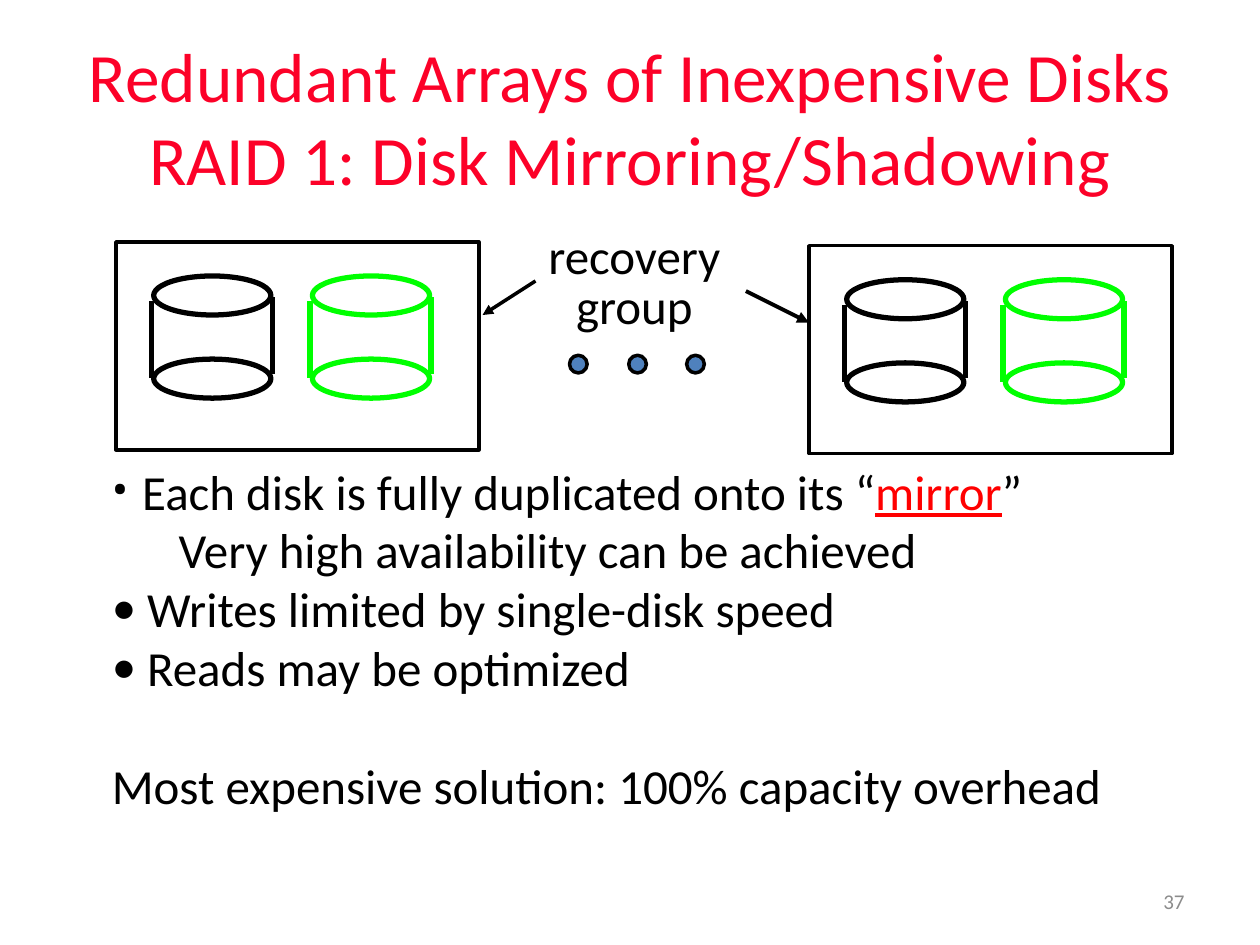
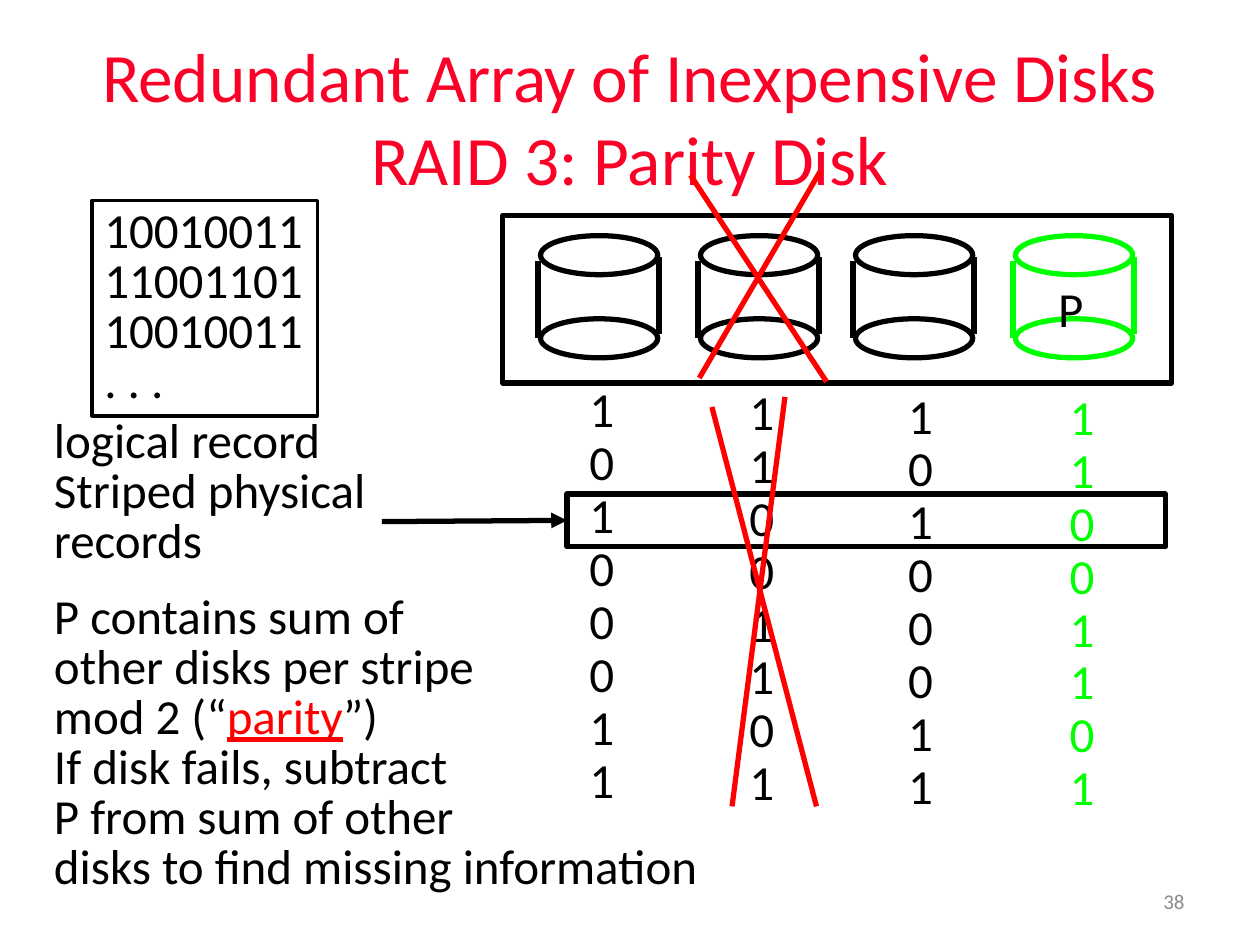
from dataclasses import dataclass

from lxml import etree
from pptx import Presentation
from pptx.dml.color import RGBColor
from pptx.enum.shapes import MSO_CONNECTOR, MSO_SHAPE
from pptx.enum.text import MSO_ANCHOR, MSO_AUTO_SIZE, PP_ALIGN
from pptx.oxml.ns import qn
from pptx.util import Pt

EMU_PER_PX = 9144

BLACK = RGBColor(0x00, 0x00, 0x00)
WHITE = RGBColor(0xFF, 0xFF, 0xFF)
GREEN = RGBColor(0x00, 0xFF, 0x00)
RED = RGBColor(0xFF, 0x00, 0x00)
TITLE_RED = RGBColor(0xFC, 0x01, 0x28)
DOT_BLUE = RGBColor(0x4F, 0x81, 0xBD)
GREY = RGBColor(0x8C, 0x8C, 0x8C)

RECTANGLE = MSO_SHAPE.RECTANGLE
OVAL = MSO_SHAPE.OVAL
STRAIGHT = MSO_CONNECTOR.STRAIGHT
LEFT, CENTER, RIGHT = PP_ALIGN.LEFT, PP_ALIGN.CENTER, PP_ALIGN.RIGHT
TOP, MIDDLE = MSO_ANCHOR.TOP, MSO_ANCHOR.MIDDLE
NO_FIT, GROW = MSO_AUTO_SIZE.NONE, MSO_AUTO_SIZE.SHAPE_TO_FIT_TEXT

TITLE_ONLY = 5
LEFT_SIDE = 1
FONT = "Calibri"
TIGHT = 0.85
DIGIT_SPACING = 0.9


@dataclass(frozen=True)
class Area:
    left: int
    top: int
    width: int
    height: int

    def emu(self) -> list[int]:
        return [px(n) for n in (self.left, self.top, self.width, self.height)]


@dataclass(frozen=True)
class Span:
    text: str
    color: RGBColor = BLACK
    underline: bool = False


@dataclass(frozen=True)
class Para:
    spans: tuple[Span, ...]
    margin: int = 0
    bullet_font: str = ""
    before: int = 0


@dataclass(frozen=True)
class Disk:
    left: int
    top: int
    color: RGBColor = BLACK


@dataclass(frozen=True)
class Stroke:
    start: tuple[int, int]
    end: tuple[int, int]
    color: RGBColor = BLACK
    weight: float = 3
    arrow: bool = False


@dataclass(frozen=True)
class BitColumn:
    left: int
    top: int
    bits: str
    color: RGBColor = BLACK


TITLE_AREA = Area(50, 30, 900, 125)
NUMBER_AREA = Area(717, 695, 233, 40)


def px(length: int) -> int:
    return length * EMU_PER_PX


def plain(*lines: str, color: RGBColor = BLACK) -> list[Para]:
    return [Para((Span(line, color),)) for line in lines]


def add_bullet(para, margin: int, font: str) -> None:
    properties = para._p.get_or_add_pPr()
    properties.set("indent", str(-px(margin)))
    etree.SubElement(properties, qn("a:buFont"), typeface=font)
    etree.SubElement(properties, qn("a:buChar"), char="•")


def write_span(para, span: Span, size: float) -> None:
    for index, piece in enumerate(span.text.split("\n")):
        if index:
            para.add_line_break()
        run = para.add_run()
        run.text = piece
        formats = {"name": FONT, "size": Pt(size), "underline": span.underline}
        for name, value in formats.items():
            setattr(run.font, name, value)
        run.font.color.rgb = span.color


def write(box, paras: list[Para], size: float = 28, spacing: float = 1.0,
          align=LEFT, anchor=TOP, wrap: bool = False, fit=GROW) -> None:
    frame = box.text_frame
    formats = {"word_wrap": wrap, "auto_size": fit, "vertical_anchor": anchor,
               "margin_left": px(10), "margin_right": px(10),
               "margin_top": px(5), "margin_bottom": px(5)}
    for name, value in formats.items():
        setattr(frame, name, value)
    for index, item in enumerate(paras):
        para = frame.add_paragraph() if index else frame.paragraphs[0]
        para.alignment = align
        para.line_spacing = spacing
        if item.before:
            para.space_before = Pt(item.before)
        if item.margin:
            para._p.get_or_add_pPr().set("marL", str(px(item.margin)))
        if item.bullet_font:
            add_bullet(para, item.margin, item.bullet_font)
        for span in item.spans:
            write_span(para, span, size)


def add_text(page, area: Area, paras: list[Para], **formats) -> None:
    write(page.shapes.add_textbox(*area.emu()), paras, **formats)


def add_figure(page, kind, area: Area, line: RGBColor = BLACK,
               weight: float = 3, fill: RGBColor | None = None):
    shape = page.shapes.add_shape(kind, *area.emu())
    shape.shadow.inherit = False
    if fill is None:
        shape.fill.background()
    else:
        shape.fill.solid()
        shape.fill.fore_color.rgb = fill
    shape.line.color.rgb = line
    shape.line.width = Pt(weight)
    return shape


def add_stroke(page, stroke: Stroke):
    ends = [px(n) for n in (*stroke.start, *stroke.end)]
    connector = page.shapes.add_connector(STRAIGHT, *ends)
    connector.line.color.rgb = stroke.color
    connector.line.width = Pt(stroke.weight)
    if stroke.arrow:
        outline = connector.line._get_or_add_ln()
        etree.SubElement(outline, qn("a:tailEnd"), type="triangle")
    etree.SubElement(connector._element.spPr, qn("a:effectLst"))
    return connector


def add_disk(page, disk: Disk) -> None:
    for top in (disk.top, disk.top + 66):
        add_figure(page, OVAL, Area(disk.left, top, 93, 31), disk.color, fill=WHITE)
    for side, drop in ((-2, 20), (94, 17)):
        x, y = disk.left + side, disk.top + drop
        add_stroke(page, Stroke((x, y), (x, y + 61), disk.color))


def add_page(deck, title: str, number: int):
    page = deck.slides.add_slide(deck.slide_layouts[TITLE_ONLY])
    heading = page.shapes.title
    for name, value in zip(("left", "top", "width", "height"), TITLE_AREA.emu()):
        setattr(heading, name, value)
    write(heading, plain(title, color=TITLE_RED), size=39.6, align=CENTER,
          anchor=MIDDLE, wrap=True, fit=NO_FIT)
    add_text(page, NUMBER_AREA, plain(str(number), color=GREY), size=12,
             align=RIGHT, anchor=MIDDLE, wrap=True, fit=NO_FIT)
    return page


def build_mirroring(deck) -> None:
    page = add_page(deck, "Redundant Arrays of Inexpensive Disks\n"
                          "RAID 1: Disk Mirroring/Shadowing", 37)
    for left, top in ((642, 195), (92, 192)):
        for offset, color in ((30, BLACK), (156, GREEN)):
            add_disk(page, Disk(left + offset, top + 27, color))
        add_figure(page, RECTANGLE, Area(left, top, 288, 165), weight=2)

    mirror = (Span("Each disk is fully duplicated onto its “"),
              Span("mirror", RED, True), Span("”"))
    add_text(page, Area(79, 361, 814, 293), [
        Para(mirror, 24, "Roboto"),
        Para((Span("Very high availability can be achieved"),), 53),
        Para((Span("Writes limited by single-disk speed"),), 28, FONT),
        Para((Span("Reads may be optimized"),), 28, FONT),
        Para((Span("Most expensive solution: 100% capacity overhead"),), before=34),
    ])

    for left in (452, 499, 545):
        add_figure(page, OVAL, Area(left, 282, 14, 14), weight=2, fill=DOT_BLUE)
    add_text(page, Area(423, 181, 161, 91), plain("recovery", "group"),
             spacing=TIGHT, align=CENTER)
    add_stroke(page, Stroke((425, 223), (383, 250), weight=2, arrow=True))
    add_stroke(page, Stroke((592, 231), (642, 256), weight=2.25, arrow=True))


def build_parity(deck) -> None:
    page = add_page(deck, "Redundant Array of Inexpensive Disks "
                          "RAID 3: Parity Disk", 38)
    for left, color in ((429, BLACK), (556, BLACK), (679, BLACK), (806, GREEN)):
        add_disk(page, Disk(left, 187, color))
    add_figure(page, RECTANGLE, Area(399, 171, 531, 133))
    add_text(page, Area(830, 223, 41, 51), plain("P"), spacing=TIGHT)

    record = add_figure(page, RECTANGLE, Area(73, 159, 179, 171), weight=2, fill=WHITE)
    write(record, plain("10010011", "11001101", "10010011", ". . ."),
          spacing=TIGHT, anchor=MIDDLE)
    add_text(page, Area(33, 327, 238, 51), plain("logical record"), spacing=TIGHT)

    for column in (BitColumn(458, 301, "10100011"),
                   BitColumn(585, 303, "11001101"),
                   BitColumn(711, 306, "10100011"),
                   BitColumn(839, 307, "11001101", GREEN)):
        add_text(page, Area(column.left, column.top, 40, 350),
                 plain(*column.bits, color=column.color), spacing=DIGIT_SPACING)

    parity = (Span("other disks per stripe \nmod 2 (“"),
              Span("parity", RED, True), Span("”)"))
    add_text(page, Area(33, 467, 538, 251), [
        *plain("P contains sum of"),
        Para(parity),
        *plain("If disk fails, subtract",
               "P from sum of other \ndisks to find missing information"),
    ], spacing=TIGHT)

    add_text(page, Area(33, 367, 277, 91), plain("Striped physical", "records"),
             spacing=TIGHT)
    stripe = add_figure(page, RECTANGLE, Area(450, 392, 475, 42))
    arrow = add_stroke(page, Stroke((303, 414), (450, 413), arrow=True))
    arrow.end_connect(stripe, LEFT_SIDE)

    for start, end in (((548, 139), (656, 303)), ((651, 136), (555, 300)),
                       ((565, 323), (648, 640)), ((623, 315), (581, 640))):
        add_stroke(page, Stroke(start, end, RED))


def main() -> None:
    deck = Presentation()
    deck.slide_width = px(1000)
    deck.slide_height = px(750)
    build_mirroring(deck)
    build_parity(deck)
    deck.save("out.pptx")


if __name__ == "__main__":
    main()
